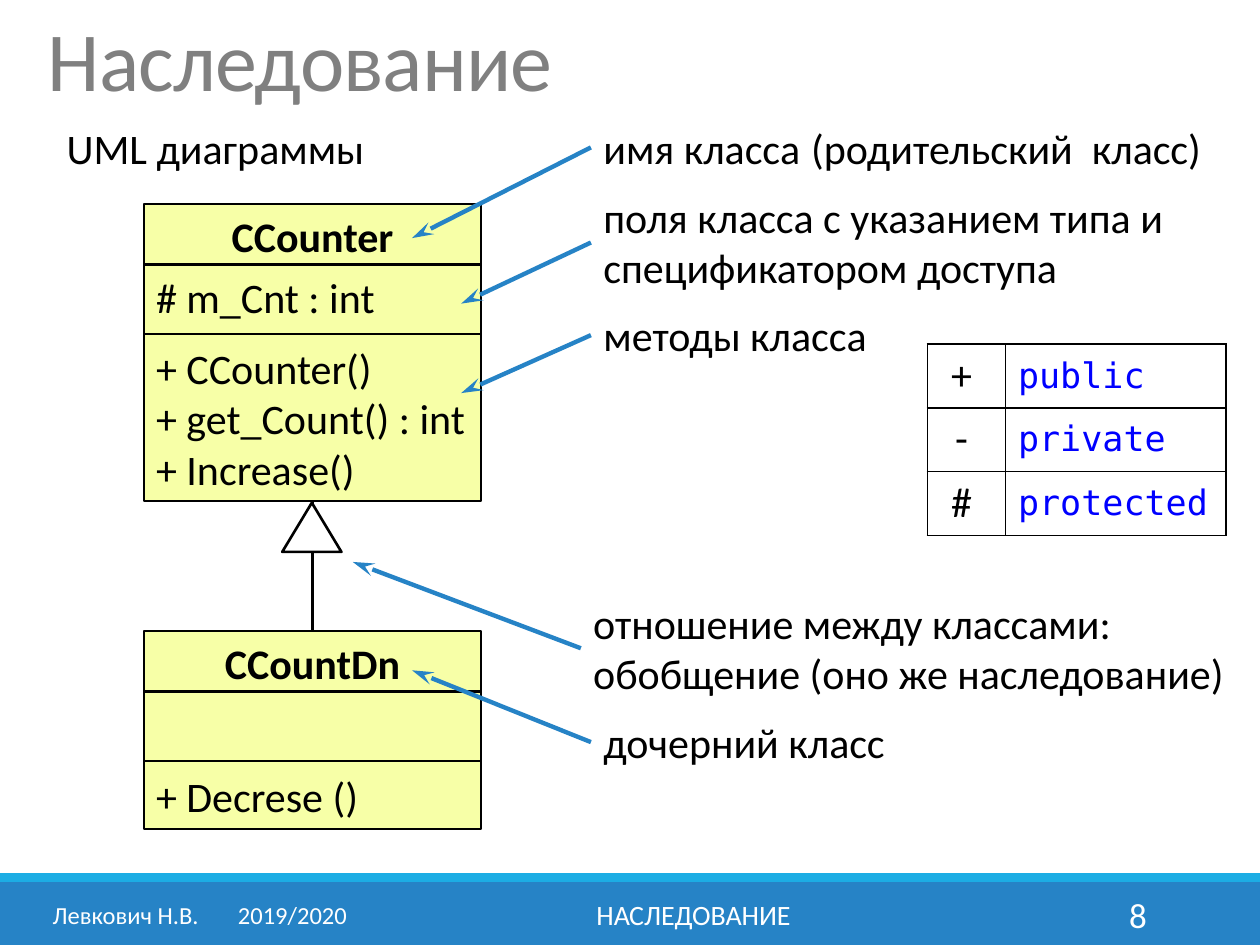
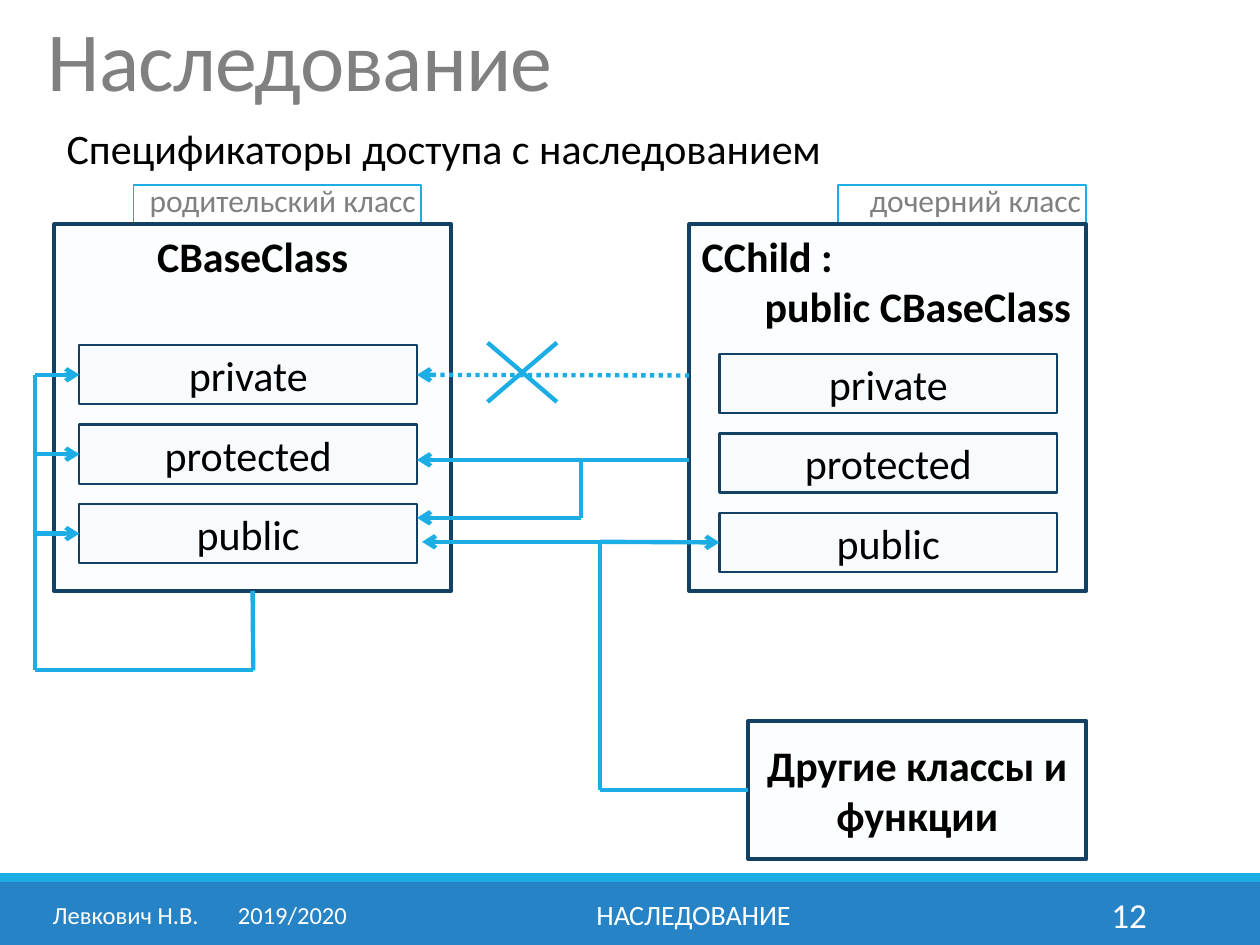
from lxml import etree
from pptx import Presentation
from pptx import util as u
from pptx.dml.color import RGBColor
from pptx.enum import dml, shapes, text
from pptx.oxml.ns import qn

COLORS = {
    "white": "FFFFFF", "black": "000000", "grey": "808080",
    "blue": "2683C6", "sky": "1CADE4", "navy": "134163",
    "pale": "D2EFFA", "yellow": "F7FFA7", "keyword": "0000FF",
}
LEFT, CENTER, RIGHT = text.PP_ALIGN.LEFT, text.PP_ALIGN.CENTER, text.PP_ALIGN.RIGHT
TOP, MIDDLE = text.MSO_ANCHOR.TOP, text.MSO_ANCHOR.MIDDLE
SIDE_TOP, SIDE_LEFT, SIDE_BOTTOM, SIDE_RIGHT = range(4)
TITLE = "Наследование"


def color(name):
    return RGBColor.from_string(COLORS[name])


def inches(*values):
    return [u.Inches(value) for value in values]


def write(para, words, size=24, ink="black", font="Calibri", bold=False,
          align=LEFT, before=None, spacing=None, tab=None, tracking=None):
    para.text = words
    para.alignment = align
    if tab:
        stops = etree.SubElement(para._p.get_or_add_pPr(), qn("a:tabLst"))
        etree.SubElement(stops, qn("a:tab"), pos=str(u.Inches(tab)), algn="l")
    if before:
        para.space_before = u.Pt(before)
    if spacing:
        para.line_spacing = spacing
    for span in para.runs:
        span.font.name = font
        span.font.size = u.Pt(size)
        span.font.bold = bold
        span.font.color.rgb = color(ink)
        if tracking:
            span._r.get_or_add_rPr().set("spc", str(tracking))


class Lecture:
    def __init__(self):
        self.deck = Presentation()
        self.deck.slide_width, self.deck.slide_height = inches(10, 7.5)
        self.layout = self.deck.slide_layouts[5]
        self.page = None

    def start(self, number):
        first = self.page is None
        self.page = self.deck.slides.add_slide(self.layout)
        if first:
            for at, fill in (((0, 7, 10, 0.5), "blue"), ((0, 6.93, 10, 0.07), "sky")):
                band = self.shape(at, fill)
                self.layout.shapes._spTree.append(band._element)
        title = self.page.shapes.title
        title.left, title.top, title.width, title.height = inches(0.28, 0.13, 9.45, 0.79)
        title.text_frame.auto_size = text.MSO_AUTO_SIZE.NONE
        self.fill_frame(title.text_frame, TITLE, MIDDLE, size=48, ink="grey",
                        spacing=0.85, tracking=-50)
        self.label((0.32, 7.06, 2.61, 0.4), "Левкович Н.В.\t2019/2020",
                   anchor=MIDDLE, size=14, ink="white", tab=1.47)
        self.label((3.02, 7.06, 4.97, 0.4), TITLE.upper(),
                   anchor=MIDDLE, size=16, ink="white", align=CENTER)
        self.label((8.12, 7.06, 1.08, 0.4), str(number),
                   anchor=MIDDLE, size=20, ink="white", align=RIGHT)

    def fill_frame(self, frame, lines, anchor=TOP, inset=None, **style):
        frame.word_wrap = True
        frame.vertical_anchor = anchor
        if inset is not None:
            frame.margin_left = frame.margin_right = u.Inches(inset)
            frame.margin_top = frame.margin_bottom = u.Inches(inset)
        if isinstance(lines, str):
            lines = [(lines, {})]
        for index, (words, changes) in enumerate(lines):
            para = frame.add_paragraph() if index else frame.paragraphs[0]
            write(para, words, **{**style, **changes})

    def label(self, at, words, anchor=TOP, **style):
        box = self.page.shapes.add_textbox(*inches(*at))
        self.fill_frame(box.text_frame, words, anchor, **style)
        return box

    def shape(self, at, fill=None, line=None, width=1, lines=None, opacity=None,
              kind=shapes.MSO_SHAPE.RECTANGLE, **style):
        box = self.page.shapes.add_shape(kind, *inches(*at))
        box.shadow.inherit = False
        if fill:
            box.fill.solid()
            box.fill.fore_color.rgb = color(fill)
        else:
            box.fill.background()
        if opacity:
            tint = box._element.spPr.find(qn("a:solidFill"))[0]
            etree.SubElement(tint, qn("a:alpha"), val=str(opacity * 1000))
        if line:
            box.line.color.rgb = color(line)
            box.line.width = u.Pt(width)
        else:
            box.line.fill.background()
        if lines:
            self.fill_frame(box.text_frame, lines, **style)
        return box

    def line(self, start, end, ink="sky", width=2.5, head=None, head_length="med",
             dash=None, begin=None, finish=None):
        link = self.page.shapes.add_connector(
            shapes.MSO_CONNECTOR.STRAIGHT, *inches(*start, *end))
        if begin:
            link.begin_connect(*begin)
        if finish:
            link.end_connect(*finish)
        link.line.color.rgb = color(ink)
        link.line.width = u.Pt(width)
        if dash:
            link.line.dash_style = dash
        if head:
            etree.SubElement(link.line._get_or_add_ln(), qn("a:tailEnd"),
                             type=head, w="med", len=head_length)
        etree.SubElement(link._element.spPr, qn("a:effectLst"))
        return link

    def uml_class(self, top, height, lines):
        left, width = 1.14, 2.68
        box = self.shape((left, top, width, height), "yellow", "black", 1.25, lines)
        rules = [self.line((left, top + drop), (left + width, top + drop), "black", 1.5)
                 for drop in (0.48, 1.03)]
        self.page.shapes.add_group_shape([box, *rules])
        return box

    def note(self, at, words, target):
        box = self.label(at, words)
        self.line((at[0], at[1] + at[3] / 2), target, "blue", head="stealth",
                  head_length="lg", begin=(box, SIDE_LEFT))

    def class_panel(self, at, lines, **style):
        return self.shape(at, "pale", "navy", 2.25, lines, opacity=8, bold=True, **style)

    def members(self, left, top):
        return [self.shape((left, top + 0.63 * row, 2.68, 0.47), "pale", "navy", 1.25,
                           name, opacity=8, anchor=MIDDLE, align=CENTER)
                for row, name in enumerate(("private", "protected", "public"))]

    def table(self, at, columns, rows):
        grid = self.page.shapes.add_table(len(rows), len(columns), *inches(*at)).table
        grid.first_row = grid.horz_banding = False
        for column, (width, _) in zip(grid.columns, columns):
            column.width = u.Inches(width)
        for row, values in enumerate(rows):
            for column, (_, style) in enumerate(columns):
                cell = grid.cell(row, column)
                cell.vertical_anchor = MIDDLE
                cell.fill.solid()
                cell.fill.fore_color.rgb = color("white")
                write(cell.text_frame.paragraphs[0], values[column], **style)
                self.borders(cell)

    def borders(self, cell):
        props = cell._tc.get_or_add_tcPr()
        for index, side in enumerate(("lnL", "lnR", "lnT", "lnB")):
            edge = etree.Element(qn("a:" + side), w=str(u.Pt(1)))
            fill = etree.SubElement(edge, qn("a:solidFill"))
            etree.SubElement(fill, qn("a:srgbClr"), val=COLORS["black"])
            props.insert(index, edge)


def build_uml(show):
    show.start(8)
    show.table((7.36, 2.73, 2.37, 1.52),
               [(0.62, {"align": CENTER}),
                (1.75, {"size": 20, "ink": "keyword", "font": "DejaVu Sans Mono"})],
               [("+ ", "public"), ("- ", "private"), ("# ", "protected")])
    heading = {"bold": True, "align": CENTER}
    parent = show.uml_class(1.62, 2.36, [
        ("CCounter", heading),
        ("# m_Cnt : int", {"before": 6}),
        ("+ CCounter()", {"before": 12}),
        ("+ get_Count() : int", {}),
        ("+ Increase()", {}),
    ])
    child = show.uml_class(5.01, 1.57, [
        ("CCountDn", heading), ("+ Decrese ()", {"before": 47})])
    show.line((2.48, 5.01), (2.48, 3.98), "black", 1.5,
              begin=(child, SIDE_TOP), finish=(parent, SIDE_BOTTOM))
    show.shape((2.24, 3.99, 0.47, 0.39), "white", "black", 1.5,
               kind=shapes.MSO_SHAPE.ISOSCELES_TRIANGLE)
    show.label((0.43, 0.92, 2.91, 0.5), "UML диаграммы")
    show.label((6.34, 0.92, 3.66, 0.5), "(родительский  класс)")
    for at, words, target in (
        ((4.69, 0.92, 1.81, 0.5), "имя класса", (3.27, 1.89)),
        ((4.69, 1.47, 4.96, 0.91),
         "поля класса с указанием типа и спецификатором доступа", (3.66, 2.41)),
        ((4.69, 2.41, 2.52, 0.5), "методы класса", (3.66, 3.12)),
        ((4.61, 4.69, 5.39, 0.91),
         "отношение между классами: обобщение (оно же наследование)", (2.8, 4.46)),
        ((4.69, 5.64, 3.46, 0.5), "дочерний класс", (3.27, 5.32)),
    ):
        show.note(at, words, target)


def build_access(show):
    show.start(12)
    show.label((0.43, 0.92, 7.8, 0.5), "Спецификаторы доступа с наследованием")
    for at, words in (((1.06, 1.47, 2.28, 0.31), "родительский класс"),
                      ((6.65, 1.47, 1.97, 0.31), "дочерний класс")):
        show.shape(at, None, "sky", 1, words, anchor=MIDDLE, inset=0.04,
                   size=18, ink="grey", align=RIGHT, spacing=0.7)
    base = show.class_panel((0.43, 1.78, 3.15, 2.91), "CBaseClass", align=CENTER)
    show.class_panel((5.47, 1.78, 3.15, 2.91), "CChild :\n\tpublic CBaseClass", tab=0.5)
    others = show.class_panel((5.94, 5.72, 2.68, 1.1), "Другие классы и функции",
                              anchor=MIDDLE, align=CENTER)
    base_members = show.members(0.63, 2.74)
    child_members = show.members(5.71, 2.81)

    show.line((2.01, 4.69), (2.01, 5.32), begin=(base, SIDE_BOTTOM))
    show.line((2.01, 5.32), (0.28, 5.32))
    show.line((0.28, 2.98), (0.28, 5.32))
    for member in base_members:
        middle = (member.top + member.height / 2) / u.Inches(1)
        show.line((0.28, middle), (0.63, middle), head="arrow",
                  finish=(member, SIDE_LEFT))

    show.line((5.47, 2.98), (3.31, 2.98), head="arrow", dash=dml.MSO_LINE.ROUND_DOT,
              finish=(base_members[0], SIDE_RIGHT))
    show.line((3.87, 2.72), (4.42, 3.19))
    show.line((4.42, 2.72), (3.87, 3.19))

    show.line((5.47, 3.65), (3.31, 3.65), head="arrow")
    show.line((4.61, 3.65), (4.61, 4.11))
    show.line((4.61, 4.11), (3.31, 4.11), head="arrow")

    show.line((5.94, 6.27), (4.76, 6.27), begin=(others, SIDE_LEFT))
    show.line((4.76, 4.3), (4.76, 6.27))
    show.line((4.76, 4.3), (3.35, 4.3), head="arrow")
    show.line((4.76, 4.3), (5.71, 4.3), head="arrow",
              finish=(child_members[2], SIDE_LEFT))


def main():
    show = Lecture()
    build_uml(show)
    build_access(show)
    show.deck.save("out.pptx")


if __name__ == "__main__":
    main()
